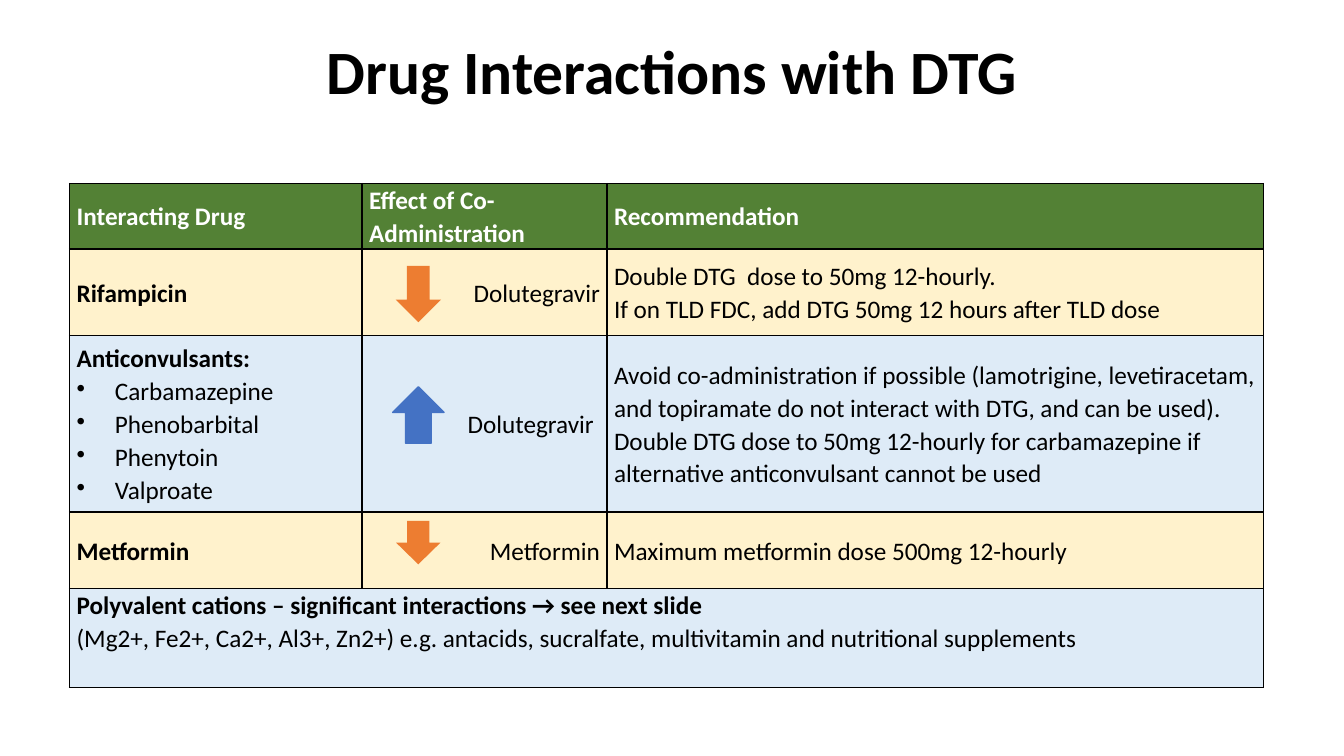
from lxml import etree
from pptx import Presentation
from pptx import util as u
from pptx.dml.color import RGBColor
from pptx.enum import shapes, text
from pptx.oxml.ns import qn

COLORS = {
    "black": "000000", "white": "FFFFFF", "header": "538135",
    "cream": "FFF2CC", "sky": "DEEBF7", "fall": "ED7D31", "rise": "4472C4",
}
FONT = "Calibri"
COLUMNS = [2.9, 2.43, 6.51]
ROWS = [0.65, 0.86, 1.75, 0.76, 0.98]
FILLS = ["header", "cream", "sky", "cream", "sky"]
CELLS = [
    [["Interacting Drug"], ["Effect of Co-Administration"], ["Recommendation"]],
    [["Rifampicin"], ["Dolutegravir"],
     ["Double DTG  dose to 50mg 12-hourly.",
      "If on TLD FDC, add DTG 50mg 12 hours after TLD dose"]],
    [["Anticonvulsants:", "Carbamazepine", "Phenobarbital", "Phenytoin", "Valproate"],
     ["Dolutegravir"],
     ["Avoid co-administration if possible (lamotrigine, levetiracetam, and "
      "topiramate do not interact with DTG, and can be used). Double DTG dose to "
      "50mg 12-hourly for carbamazepine if alternative anticonvulsant cannot be used"]],
    [["Metformin"], ["Metformin"], ["Maximum metformin dose 500mg 12-hourly"]],
    [["Polyvalent cations – significant interactions → see next slide",
      "(Mg2+, Fe2+, Ca2+, Al3+, Zn2+) e.g. antacids, sucralfate, multivitamin "
      "and nutritional supplements"]],
]
ARROWS = [
    (1, "DOWN_ARROW", "fall", 0.45, 0.56, 0.52),
    (2, "UP_ARROW", "rise", 0.51, 0.56, 0.45),
    (3, "DOWN_ARROW", "fall", 0.44, 0.43, 0.4),
]


def rgb(name):
    return RGBColor.from_string(COLORS[name])


def style_paragraph(paragraph, size, color, bold, spacing, align):
    font = paragraph.font
    font.name, font.size, font.bold = FONT, u.Pt(size), bold
    font.color.rgb = rgb(color)
    paragraph.line_spacing = spacing
    paragraph.alignment = align


def add_bullet(paragraph):
    properties = paragraph._p.get_or_add_pPr()
    properties.set("marL", str(u.Inches(0.38)))
    properties.set("indent", str(-u.Inches(0.38)))
    bullet = etree.Element(qn("a:buChar"), char="•")
    properties.find(qn("a:defRPr")).addprevious(bullet)


def add_borders(cell):
    properties = cell._tc.get_or_add_tcPr()
    for index, side in enumerate(("lnL", "lnR", "lnT", "lnB")):
        line = etree.Element(qn("a:" + side), w=str(u.Pt(1)))
        fill = etree.SubElement(line, qn("a:solidFill"))
        etree.SubElement(fill, qn("a:srgbClr"), val=COLORS["black"])
        properties.insert(index, line)


def add_title(slide, left, top, width, height):
    frame = slide.shapes.add_textbox(*map(u.Inches, (left, top, width, height))).text_frame
    frame.word_wrap = True
    frame.vertical_anchor = text.MSO_ANCHOR.MIDDLE
    frame.text = "Drug Interactions with DTG"
    style_paragraph(frame.paragraphs[0], 44, "black", True, 0.9, text.PP_ALIGN.CENTER)


def fill_cell(cell, lines, row, column):
    header = row == 0
    effect = column == 1 and not header
    cell.margin_left = cell.margin_right = u.Inches(0.07)
    cell.margin_top = cell.margin_bottom = 0
    last = row == len(ROWS) - 1
    cell.vertical_anchor = text.MSO_ANCHOR.TOP if last else text.MSO_ANCHOR.MIDDLE
    cell.text = "\n".join(lines)
    align = text.PP_ALIGN.RIGHT if effect else text.PP_ALIGN.LEFT
    for index, paragraph in enumerate(cell.text_frame.paragraphs):
        bold = header or (column == 0 and index == 0)
        style_paragraph(paragraph, 18, "white" if header else "black", bold, 1.07, align)
        if column == 0 and index and not last:
            add_bullet(paragraph)


def add_interactions(slide, left, top):
    box = map(u.Inches, (left, top, sum(COLUMNS), sum(ROWS)))
    table = slide.shapes.add_table(len(ROWS), len(COLUMNS), *box).table
    table.first_row = table.horz_banding = False
    for column, width in zip(table.columns, COLUMNS):
        column.width = u.Inches(width)
    for row, height in zip(table.rows, ROWS):
        row.height = u.Inches(height)
    table.cell(4, 0).merge(table.cell(4, 2))
    for row, fill in enumerate(FILLS):
        for column in range(len(COLUMNS)):
            cell = table.cell(row, column)
            cell.fill.solid()
            cell.fill.fore_color.rgb = rgb(fill)
            add_borders(cell)
        for column, lines in enumerate(CELLS[row]):
            fill_cell(table.cell(row, column), lines, row, column)
    table.cell(2, 1).margin_right = u.Inches(0.13)


def add_arrows(slide, left, top):
    center_x = left + COLUMNS[0] + 0.23 * COLUMNS[1]
    for row, kind, color, width, height, share in ARROWS:
        center_y = top + sum(ROWS[:row]) + share * ROWS[row]
        box = (center_x - width / 2, center_y - height / 2, width, height)
        shape = slide.shapes.add_shape(shapes.MSO_SHAPE[kind], *map(u.Inches, box))
        shape.shadow.inherit = False
        shape.fill.solid()
        shape.fill.fore_color.rgb = rgb(color)
        if color == "rise":
            shape.line.color.rgb = rgb(color)
            shape.line.width = u.Pt(1)
        else:
            shape.line.fill.background()


def main():
    presentation = Presentation()
    presentation.slide_width, presentation.slide_height = u.Inches(13.33), u.Inches(7.5)
    slide = presentation.slides.add_slide(presentation.slide_layouts[6])
    add_title(slide, 0, 0.02, 13.33, 1.44)
    add_interactions(slide, 0.69, 1.82)
    add_arrows(slide, 0.69, 1.82)
    presentation.save("out.pptx")


if __name__ == "__main__":
    main()
